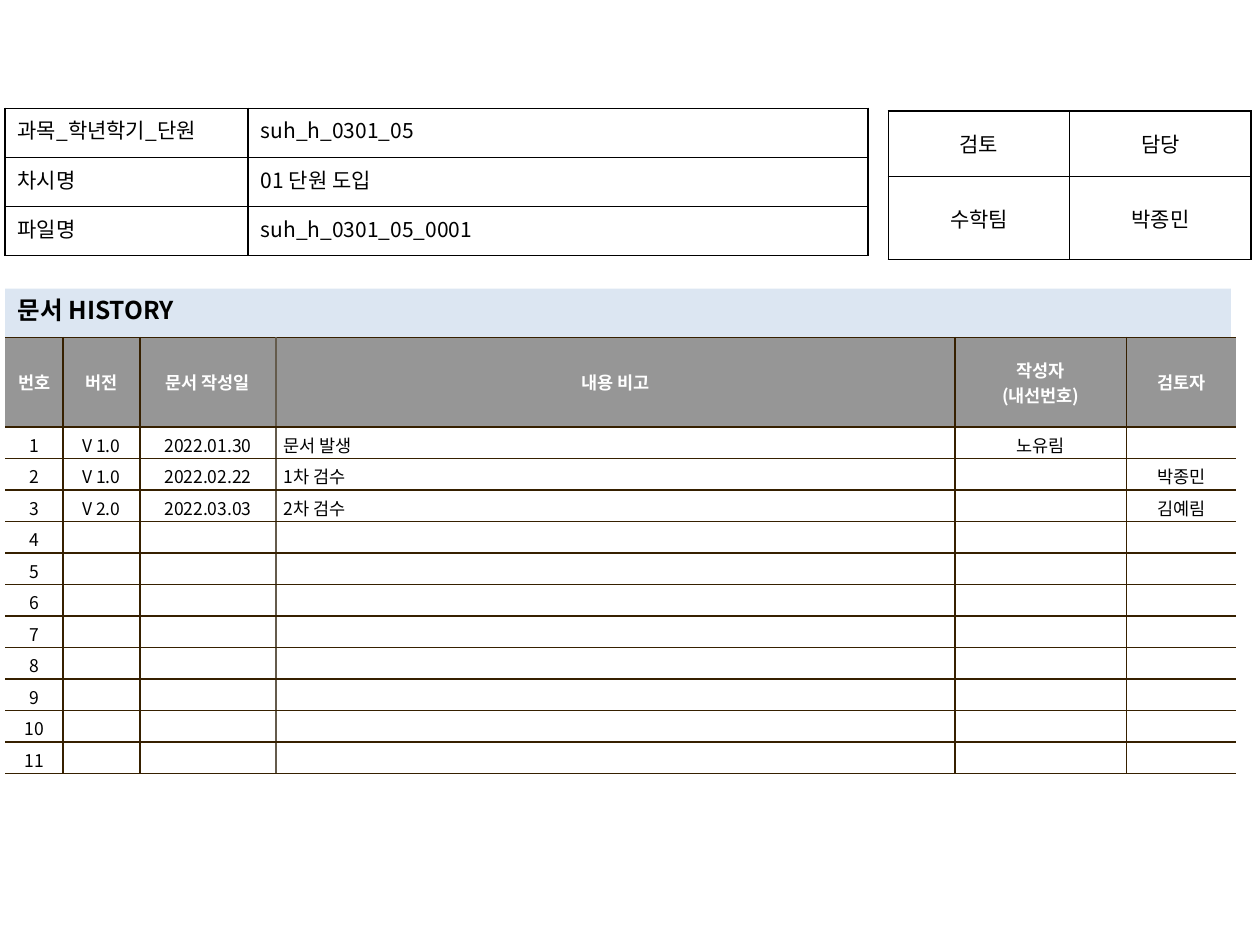
from lxml.etree import SubElement
from pptx import Presentation
from pptx.dml.color import RGBColor
from pptx.enum.text import MSO_ANCHOR, MSO_AUTO_SIZE, PP_ALIGN
from pptx.oxml.ns import qn
from pptx.util import Inches, Pt

FONT = "Noto Sans CJK KR"
COLORS = {
    "text": "000000",
    "white": "FFFFFF",
    "header": "969696",
    "banner": "DCE6F2",
    "grid": "362000",
    "remark_grid": "645B4C",
}
INFO_ROWS = [
    ["과목_학년학기_단원", "suh_h_0301_05"],
    ["차시명", "01 단원 도입"],
    ["파일명", "suh_h_0301_05_0001"],
]
REVIEW_ROWS = [["검토", "담당"], ["수학팀", "박종민"]]
HISTORY_HEADER = ["번호", "버전", "문서 작성일", "내용 비고", "작성자\n(내선번호)", "검토자"]
HISTORY_ENTRIES = [
    ["V 1.0", "2022.01.30", "문서 발생", "노유림", ""],
    ["V 1.0", "2022.02.22", "1차 검수", "", "박종민"],
    ["V 2.0", "2022.03.03", "2차 검수", "", "김예림"],
]
HISTORY_COUNT = 11
REMARK_COLUMN = 3
REVIEWER_COLUMN = 5


def rgb(name):
    return RGBColor.from_string(COLORS[name])


def format_text(text_frame, size, color="text", bold=False, alignment=PP_ALIGN.LEFT):
    for paragraph in text_frame.paragraphs:
        paragraph.alignment = alignment
        for run in paragraph.runs:
            run.font.name = FONT
            run.font.size = Pt(size)
            run.font.bold = bold
            run.font.color.rgb = rgb(color)
            SubElement(run.font._element, qn("a:ea"), typeface=FONT)
        if not paragraph.runs:
            # An empty cell keeps its row low only with a small end mark.
            SubElement(paragraph._p, qn("a:endParaRPr"), sz=str(size * 100))


def set_borders(cell, left, right, top, bottom):
    """Draw each side in a named colour; None leaves the side open."""
    properties = cell._tc.get_or_add_tcPr()
    for side, color in zip("LRTB", (left, right, top, bottom)):
        line = SubElement(properties, qn(f"a:ln{side}"), w=str(Pt(1)))
        if color is None:
            SubElement(line, qn("a:noFill"))
        else:
            fill = SubElement(line, qn("a:solidFill"))
            SubElement(fill, qn("a:srgbClr"), val=COLORS[color])


def set_hanging_indent(paragraph, inches):
    properties = paragraph._p.get_or_add_pPr()
    properties.set("marL", str(Inches(inches)))
    properties.set("indent", str(-Inches(inches)))


def add_grid(slide, left, top, widths, heights, rows):
    """Add an unstyled table holding the given texts."""
    frame = slide.shapes.add_table(
        len(rows), len(widths), Inches(left), Inches(top),
        Inches(sum(widths)), Inches(sum(heights)),
    )
    table = frame.table
    table.first_row = table.horz_banding = False
    for column, width in zip(table.columns, widths):
        column.width = Inches(width)
    for row, height, texts in zip(table.rows, heights, rows):
        row.height = Inches(height)
        for cell, text in zip(row.cells, texts):
            cell.text_frame.text = text
    return table


def add_form_table(slide, left, top, widths, heights, rows, alignments, anchor):
    table = add_grid(slide, left, top, widths, heights, rows)
    for row in table.rows:
        for cell, alignment in zip(row.cells, alignments):
            cell.vertical_anchor = anchor
            set_borders(cell, "text", "text", "text", "text")
            cell.fill.background()
            format_text(cell.text_frame, 12, alignment=alignment)


def add_history_table(slide):
    entries = HISTORY_ENTRIES + [[""] * 5] * (HISTORY_COUNT - len(HISTORY_ENTRIES))
    rows = [HISTORY_HEADER]
    rows += [[str(number), *entry] for number, entry in enumerate(entries, 1)]
    widths = [0.46, 0.61, 1.08, 5.39, 1.36, 0.87]
    heights = [0.71] + [0.25] * HISTORY_COUNT
    table = add_grid(slide, 0.04, 2.68, widths, heights, rows)

    inner_lines = ["grid"] * (len(widths) - 1)
    inner_lines[REMARK_COLUMN - 1] = "remark_grid"
    column_lines = [None, *inner_lines, None]
    for row_index, row in enumerate(table.rows):
        is_header = row_index == 0
        for column_index, cell in enumerate(row.cells):
            cell.vertical_anchor = MSO_ANCHOR.MIDDLE
            cell.margin_left = cell.margin_right = Inches(0.06)
            cell.margin_top = cell.margin_bottom = Inches(0.04)
            set_borders(cell, *column_lines[column_index:column_index + 2], "grid", "grid")
            cell.fill.solid()
            cell.fill.fore_color.rgb = rgb("header" if is_header else "white")
            is_remark = column_index == REMARK_COLUMN and not is_header
            format_text(
                cell.text_frame, 10, "white" if is_header else "text", is_header,
                PP_ALIGN.LEFT if is_remark else PP_ALIGN.CENTER,
            )
            if is_remark:
                set_hanging_indent(cell.text_frame.paragraphs[0], 0.19)
            elif column_index == REVIEWER_COLUMN and cell.text:
                if not is_header:
                    set_hanging_indent(cell.text_frame.paragraphs[0], 0.09)


def set_banner_title(slide, text):
    title = slide.shapes.title
    title.left, title.top = Inches(0.04), Inches(2.29)
    title.width, title.height = Inches(9.73), Inches(0.34)
    title.fill.solid()
    title.fill.fore_color.rgb = rgb("banner")
    title.text_frame.text = text
    title.text_frame.auto_size = MSO_AUTO_SIZE.SHAPE_TO_FIT_TEXT
    title.text_frame.vertical_anchor = MSO_ANCHOR.TOP
    format_text(title.text_frame, 14, bold=True)


def main():
    presentation = Presentation()
    presentation.slide_width = Inches(10)
    presentation.slide_height = Inches(7.5)
    title_only = presentation.slide_layouts[5]
    slide = presentation.slides.add_slide(title_only)

    add_history_table(slide)
    add_form_table(
        slide, 7.05, 0.88, [1.44, 1.44], [0.52, 0.66], REVIEW_ROWS,
        [PP_ALIGN.CENTER, PP_ALIGN.CENTER], MSO_ANCHOR.MIDDLE,
    )
    set_banner_title(slide, "문서 HISTORY")
    add_form_table(
        slide, 0.04, 0.86, [1.93, 4.92], [0.39] * 3, INFO_ROWS,
        [PP_ALIGN.JUSTIFY, PP_ALIGN.LEFT], MSO_ANCHOR.TOP,
    )
    presentation.save("out.pptx")


if __name__ == "__main__":
    main()
